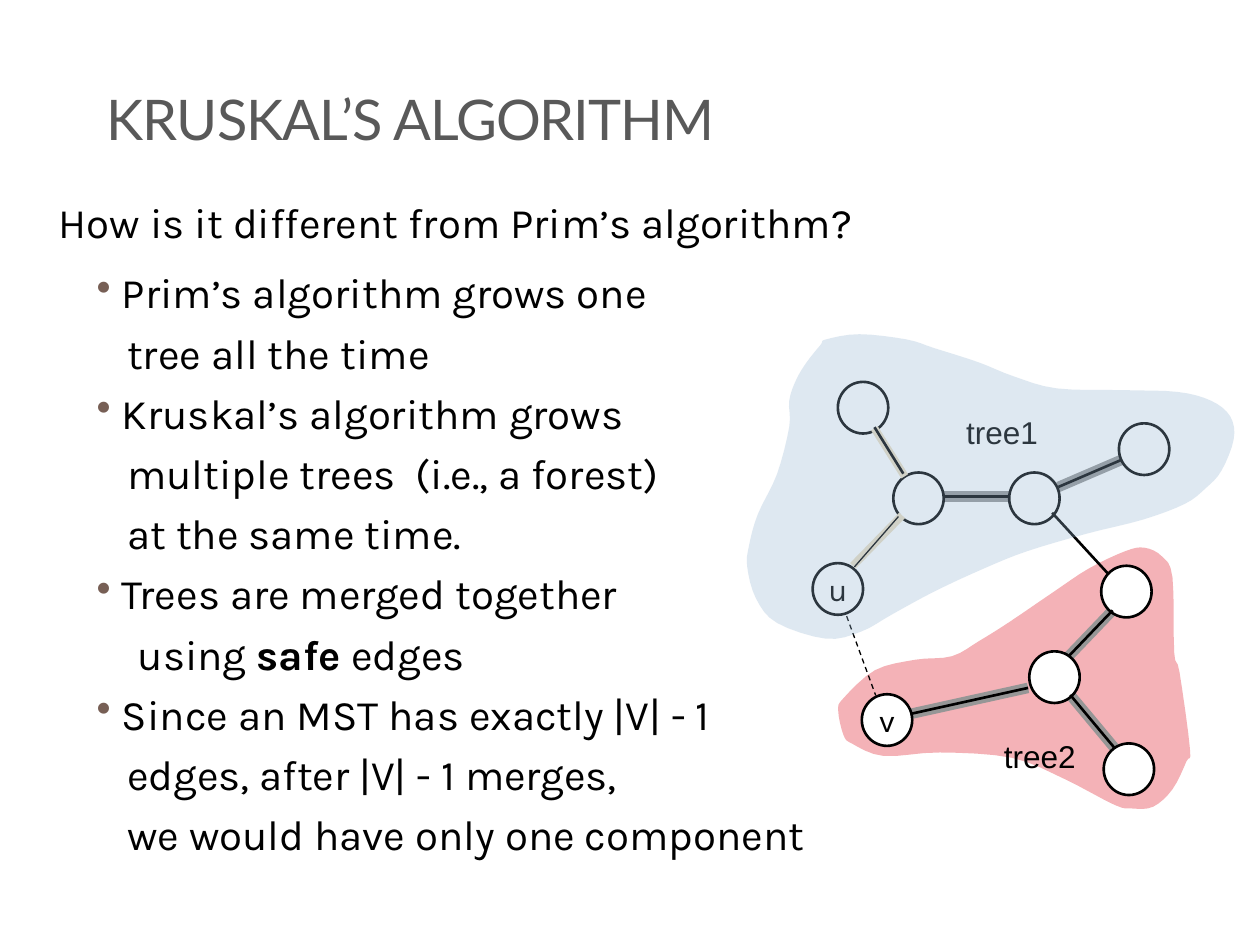
from lxml import etree
from pptx import Presentation
from pptx.dml.color import RGBColor
from pptx.enum.dml import MSO_LINE
from pptx.enum.shapes import MSO_CONNECTOR, MSO_SHAPE
from pptx.enum.text import MSO_ANCHOR, PP_ALIGN
from pptx.oxml.ns import qn
from pptx.util import Pt

rgb = RGBColor.from_string
BLACK, WHITE, GREY, TAN = "000000", "FFFFFF", "969696", "EBDDC3"

deck = Presentation()
deck.slide_width, deck.slide_height = Pt(720), Pt(540)
page = deck.slides.add_slide(deck.slide_layouts[6])
shapes = page.shapes


def add_blob(points, color):
    """Draw a translucent closed outline, smoothed as a Catmull-Rom spline."""
    curve = []
    for i, b in enumerate(points):
        a, c, d = points[i - 1], points[(i + 1) % len(points)], points[(i + 2) % len(points)]
        for t in (0, 0.25, 0.5, 0.75):
            curve.append([
                Pt((2 * q + (r - p) * t + (2 * p - 5 * q + 4 * r - s) * t ** 2
                    + (3 * q - p - 3 * r + s) * t ** 3) / 2)
                for p, q, r, s in zip(a, b, c, d)])
    builder = shapes.build_freeform(*curve[0], scale=1)
    builder.add_line_segments(curve[1:], close=True)
    blob = builder.convert_to_shape()
    blob.shadow.inherit = False
    blob.fill.solid()
    blob.fill.fore_color.rgb = rgb(color)
    blob.line.fill.background()
    fill_color = blob._element.spPr.find(qn("a:solidFill"))[0]
    etree.SubElement(fill_color, qn("a:alpha"), val="30000")


def add_line(ends, color, width, dash=None):
    line = shapes.add_connector(MSO_CONNECTOR.STRAIGHT, *[Pt(value) for value in ends])
    line.line.color.rgb = rgb(color)
    line.line.width = Pt(width)
    if dash:
        line.line.dash_style = dash
    etree.SubElement(line._element.spPr, qn("a:effectLst"))


# Title
title = shapes.add_textbox(Pt(54), Pt(24), Pt(600), Pt(66))
title.text_frame.word_wrap = True
title.text_frame.vertical_anchor = MSO_ANCHOR.BOTTOM
title.text_frame.text = "KRUSKAL’S ALGORITHM"
span = title.text_frame.paragraphs[0].runs[0]
span.font.name, span.font.size = "Lato", Pt(32)
span.font.color.rgb = rgb("595959")
span._r.get_or_add_rPr().set("spc", "-60")

# Body: text, left margin; bulleted lines hang from 36 pt
BULLET, CONTINUED = 36, 39
body_lines = [
    ("How is it different from Prim’s algorithm?", 0),
    ("Prim’s algorithm grows one", BULLET),
    ("tree all the time", CONTINUED),
    ("Kruskal’s algorithm grows", BULLET),
    ("multiple trees  (i.e., a forest)", CONTINUED),
    ("at the same time.", CONTINUED),
    ("Trees are merged together", BULLET),
    ("using |safe| edges", 45),
    ("Since an MST has exactly |V| - 1", BULLET),
    ("edges, after |V| - 1 merges,", CONTINUED),
    ("we would have only one component", CONTINUED),
]
body = shapes.add_textbox(Pt(26.6), Pt(108.5), Pt(648), Pt(400))
body.text_frame.word_wrap = True
for index, (text, margin) in enumerate(body_lines):
    para = body.text_frame.paragraphs[0] if index == 0 else body.text_frame.add_paragraph()
    properties = para._p.get_or_add_pPr()
    properties.set("marL", str(Pt(margin)))
    properties.set("indent", str(Pt(-14.4 if margin == BULLET else 0)))
    if index:
        para.space_before = Pt(5.6)
    else:
        para.space_after = Pt(6)
    if margin == BULLET:
        bullet_color = etree.SubElement(properties, qn("a:buClr"))
        etree.SubElement(bullet_color, qn("a:srgbClr"), val="775F55")
        etree.SubElement(properties, qn("a:buChar"), char="•")
    for part in text.split("|") if "safe" in text else [text]:
        span = para.add_run()
        span.text = part
        span.font.name, span.font.size = "Karla", Pt(24)
        span.font.bold = part == "safe"
        span.font.color.rgb = rgb(BLACK)

# Second tree's area lies behind the graph
add_blob([
    (544, 375), (523, 377), (500, 383), (482, 399), (479, 406), (482, 420), (487, 425),
    (505, 432), (537, 430), (578, 433), (608, 445), (637, 460), (647, 462), (659, 461),
    (670, 451), (678, 435), (680, 428), (674, 384), (671, 373), (670, 330), (664, 318),
    (654, 313), (643, 315), (622, 325), (601, 339), (576, 356), (560, 366),
], "DD0111")

# Graph: tree edges have a wide grey band under a black line
tree_edges = [
    (539.5, 283.7, 576.7, 283.7),
    (604.8, 278.3, 640.8, 262.8),
    (520.6, 407.9, 587.5, 393.1),
    (610.6, 375.1, 635.8, 348.8),
    (611.6, 397.1, 636.8, 427.3),
]
for edge in tree_edges:
    add_line(edge, GREY, 6)

nodes = [
    (464.4, 321.8, "u"), (510.5, 270, ""), (576.7, 270, ""), (639.4, 241.9, ""),
    (629.3, 323.3, ""), (478.8, 218.2, ""), (588.2, 372.2, ""), (630.7, 424.8, ""),
    (492.5, 396.7, "v"),
]
for left, top, name in nodes:
    node = shapes.add_shape(MSO_SHAPE.OVAL, Pt(left), Pt(top), Pt(28.8), Pt(29.5))
    node.shadow.inherit = False
    node.fill.solid()
    node.fill.fore_color.rgb = rgb(WHITE)
    node.line.color.rgb = rgb(BLACK)
    node.line.width = Pt(1.5)
    if name:
        frame = node.text_frame
        frame.word_wrap = False
        frame.vertical_anchor = MSO_ANCHOR.MIDDLE
        frame.text = name
        frame.paragraphs[0].alignment = PP_ALIGN.CENTER
        font = frame.paragraphs[0].runs[0].font
        font.name, font.size = "Karla", Pt(18)
        font.color.rgb = rgb(BLACK)

for edge in tree_edges:
    add_line(edge, BLACK, 1.5)
add_line((487.4, 323.3, 515.5, 294.5), TAN, 4.5)
add_line((499.7, 244.8, 517, 272.2), TAN, 4.5)
add_line((488.2, 324, 513.4, 295.2), BLACK, 0.75)
add_line((499.7, 244.1, 516.2, 270.7), BLACK, 1.5)
add_line((601.2, 293, 633.6, 328.3), BLACK, 1.5)
add_line((483.8, 352.1, 500.4, 397.4), BLACK, 0.75, MSO_LINE.DASH)

for name, left, top in [("tree1", 545, 232.6), ("tree2", 566.6, 417.6)]:
    label = shapes.add_textbox(Pt(left), Pt(top), Pt(55.4), Pt(28.8))
    label.text_frame.word_wrap = False
    label.text_frame.text = name
    font = label.text_frame.paragraphs[0].runs[0].font
    font.name, font.size = "Arial", Pt(18)
    font.color.rgb = rgb(BLACK)

# First tree's area tints the nodes it covers
add_blob([
    (469, 197), (461, 207), (455, 217), (451, 229), (451, 244), (444, 271), (433, 294),
    (428, 312), (427, 324), (432, 342), (444, 356), (472, 365), (492, 361), (510, 351),
    (534, 338), (562, 325), (587, 315), (621, 305), (653, 297), (677, 288), (689, 279),
    (698, 269), (705, 251), (703, 238), (692, 229), (673, 224), (643, 223), (604, 222),
    (579, 215), (559, 207), (534, 199), (518, 194), (491, 191), (472, 194),
], "94B6D2")

deck.save("out.pptx")
